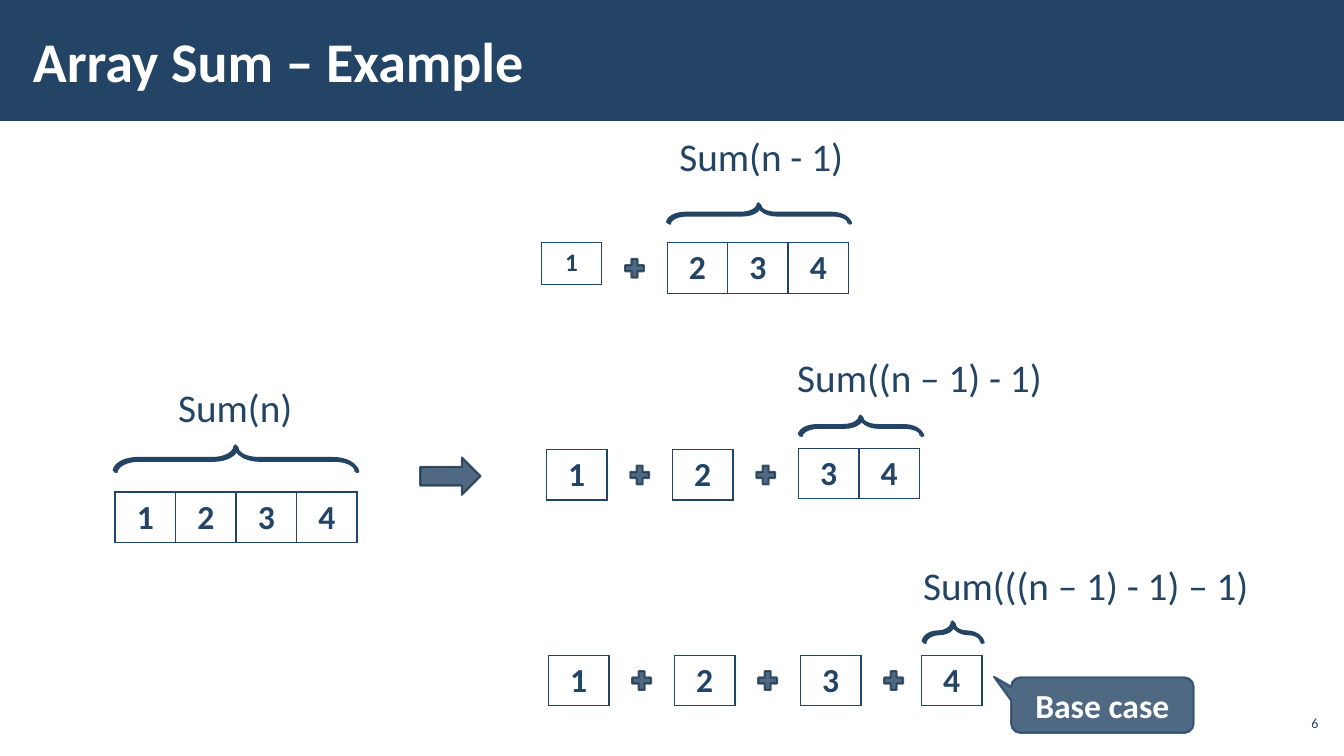
from lxml import etree
from pptx import Presentation
from pptx.dml.color import RGBColor
from pptx.enum.shapes import MSO_SHAPE
from pptx.enum.text import MSO_ANCHOR, MSO_AUTO_SIZE, PP_ALIGN
from pptx.oxml import parse_xml
from pptx.oxml.ns import qn
from pptx.util import Cm, Pt

NAVY = RGBColor(0x23, 0x44, 0x65)
DARK_NAVY = RGBColor(0x1A, 0x33, 0x4C)
WHITE = RGBColor(0xFF, 0xFF, 0xFF)
RECTANGLE = MSO_SHAPE.RECTANGLE
PLUS = MSO_SHAPE.MATH_PLUS
ARROW = MSO_SHAPE.RIGHT_ARROW
BRACE = MSO_SHAPE.LEFT_BRACE
CALLOUT = MSO_SHAPE.ROUNDED_RECTANGULAR_CALLOUT
MIDDLE = MSO_ANCHOR.MIDDLE
LEFT, CENTER, RIGHT = PP_ALIGN.LEFT, PP_ALIGN.CENTER, PP_ALIGN.RIGHT
NO_AUTOFIT = MSO_AUTO_SIZE.NONE
FIT_SHAPE = MSO_AUTO_SIZE.SHAPE_TO_FIT_TEXT
DRAWING = "http://schemas.openxmlformats.org/drawingml/2006/main"
CELL_WIDTH = 1.524
TERM_STEP = 3.175
PLUS_OFFSET = 2.03


def write(frame, text, size, color=NAVY, bold=False, align=LEFT):
    para = frame.paragraphs[0]
    para.alignment = align
    span = para.add_run()
    span.text = text
    span.font.name = "Calibri"
    span.font.size = Pt(size)
    span.font.bold = bold
    span.font.color.rgb = color


def add_array(left, top, values, size=24):
    frame = page.shapes.add_table(1, len(values), Cm(left), Cm(top),
                                  Cm(CELL_WIDTH * len(values)), Cm(1.04))
    table = frame.table
    table.first_row = False
    table.horz_banding = False
    for cell, value in zip(table.rows[0].cells, values):
        cell.fill.background()
        write(cell.text_frame, value, size, bold=True, align=CENTER)
        properties = cell._tc.get_or_add_tcPr()
        for index, side in enumerate(("lnL", "lnR", "lnT", "lnB")):
            properties.insert(index, parse_xml(
                f'<a:{side} xmlns:a="{DRAWING}" w="12700"><a:solidFill>'
                f'<a:srgbClr val="{NAVY}"/></a:solidFill></a:{side}>'))


deck = Presentation()
deck.slide_width = Cm(33.867)
deck.slide_height = Cm(19.05)
page = deck.slides.add_slide(deck.slide_layouts[5])

banner = page.shapes.add_shape(RECTANGLE, 0, 0, deck.slide_width, Cm(3.05))
banner.shadow.inherit = False
banner.fill.solid()
banner.fill.fore_color.rgb = NAVY
banner.line.fill.background()
page.shapes._spTree.insert(2, banner._element)

title = page.shapes.title
title.left, title.top, title.width, title.height = Cm(0.53), Cm(0.28), Cm(26.4), Cm(2.46)
frame = title.text_frame
frame.auto_size = NO_AUTOFIT
frame.vertical_anchor = MIDDLE
frame.margin_left = frame.margin_right = Cm(0.3)
frame.margin_top = frame.margin_bottom = Cm(0.1)
write(frame, "Array Sum – Example", 40, WHITE, True)

number_box = page.shapes.add_textbox(Cm(32.13), Cm(17.78), Cm(1.19), Cm(0.86))
frame = number_box.text_frame
frame.word_wrap = True
frame.vertical_anchor = MIDDLE
frame.margin_left = frame.margin_right = frame.margin_top = frame.margin_bottom = Cm(0.1)
write(frame, "6", 10, align=RIGHT)

arrays = [
    (2.9, 12.4, "1234"),
    (16.81, 6.12, "234"),
    (20.12, 11.3, "34"),
    (23.22, 16.51, "4"),
]
for left, top, values in arrays:
    add_array(left, top, values)

solids = [(ARROW, 10.59, 11.53, 1.52, 0.94, DARK_NAVY),
          (CALLOUT, 25.48, 17.07, 4.6, 1.4, NAVY)]
expressions = [(13.64, 6.12, "1", 18), (13.77, 11.33, "12", 24), (13.82, 16.51, "123", 24)]
for start, top, terms, size in expressions:
    for index, term in enumerate(terms):
        left = start + index * TERM_STEP
        add_array(left, top, term, size)
        solids.append((PLUS, left + PLUS_OFFSET, top + 0.32, 0.64, 0.64, DARK_NAVY))

for kind, left, top, width, height, outline in solids:
    solid = page.shapes.add_shape(kind, Cm(left), Cm(top), Cm(width), Cm(height))
    solid.shadow.inherit = False
    solid.fill.solid()
    solid.fill.fore_color.rgb = NAVY
    solid.line.color.rgb = outline
    solid.line.width = Pt(1.5)
    for color in solid._element.spPr.iter(qn("a:srgbClr")):
        etree.SubElement(color, qn("a:alpha")).set("val", "80000")
    if kind == CALLOUT:
        solid.adjustments[0] = -0.594
        solid.adjustments[1] = -0.51
        solid.text_frame.vertical_anchor = MIDDLE
        write(solid.text_frame, "Base case", 24, WHITE, True, CENTER)

labels = [
    ("Sum(n)", 4.24, 9.53, 3.43),
    ("Sum(n - 1)", 16.87, 3.2, 4.7),
    ("Sum((n – 1) - 1)", 19.84, 8.79, 6.76),
    ("Sum(((n – 1) - 1) – 1)", 23.01, 14.02, 9.12),
]
for text, left, top, width in labels:
    box = page.shapes.add_textbox(Cm(left), Cm(top), Cm(width), Cm(1.45))
    box.text_frame.word_wrap = False
    box.text_frame.auto_size = FIT_SHAPE
    write(box.text_frame, text, 28)

braces = [
    (5.93, 11.56, 0.64, 6.1),
    (19.11, 5.38, 0.48, 4.57),
    (21.68, 10.73, 0.48, 3.07),
    (24.0, 15.93, 0.51, 1.47),
]
for center_x, center_y, depth, length in braces:
    brace = page.shapes.add_shape(BRACE, Cm(center_x - depth / 2), Cm(center_y - length / 2),
                                  Cm(depth), Cm(length))
    brace.rotation = 90
    brace.adjustments[0] = 0.919
    brace.fill.background()
    brace.line.color.rgb = NAVY
    brace.line.width = Pt(2.5)
    brace.shadow.inherit = False
    brace._element.spPr.find(qn("a:effectLst")).append(parse_xml(
        f'<a:outerShdw xmlns:a="{DRAWING}" dist="17780" dir="2700000" rotWithShape="0">'
        f'<a:srgbClr val="{NAVY}"/></a:outerShdw>'))

deck.save("out.pptx")
